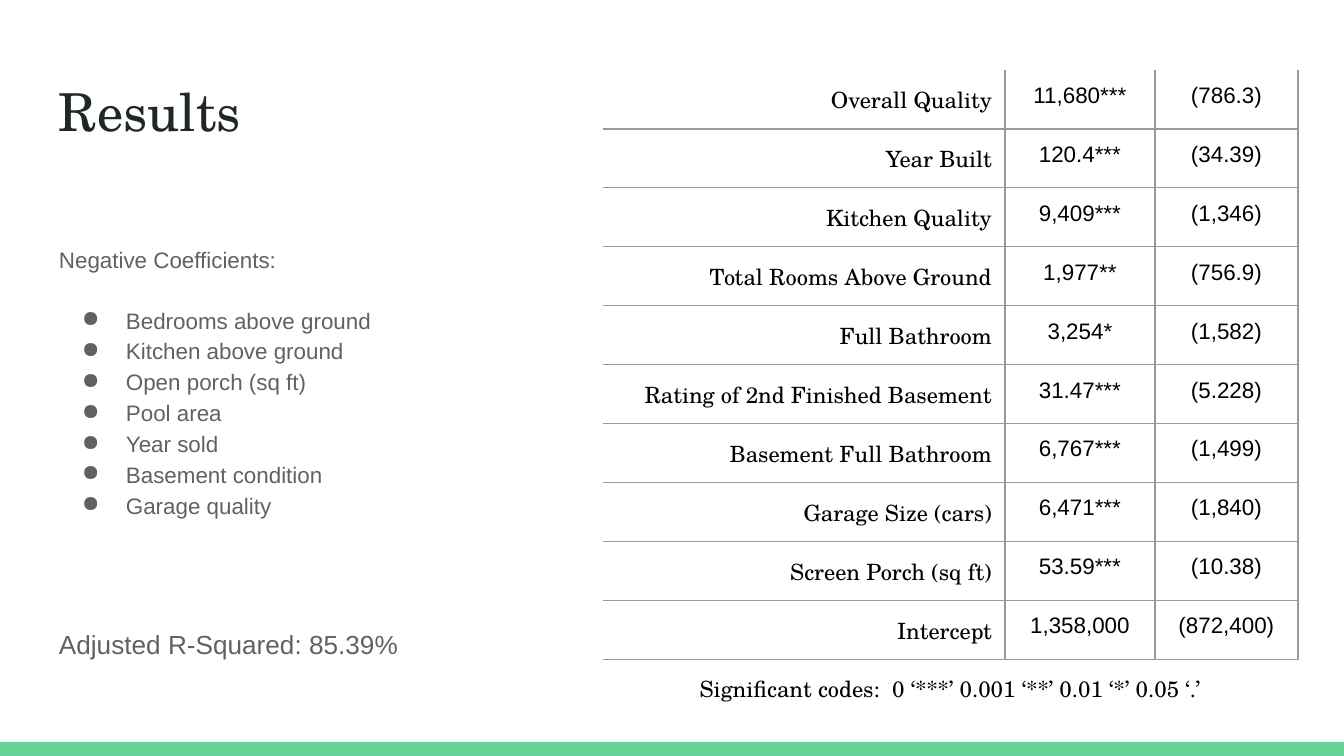
from dataclasses import dataclass

from lxml import etree
from pptx import Presentation
from pptx import util as u
from pptx.dml.color import RGBColor
from pptx.enum import shapes, text
from pptx.oxml import ns

EMU_PER_PX = 914400 / 134.4


def px(length):
    return u.Emu(round(length * EMU_PER_PX))


@dataclass(frozen=True)
class Theme:
    serif: str = "TeX Gyre Schola"
    sans: str = "Arial"
    title_color: str = "202729"
    body_color: str = "616161"
    table_color: str = "000000"
    border_color: str = "999999"
    accent: str = "63D297"
    title_size: int = 28
    result_size: int = 14
    text_size: int = 12
    border_width: float = 0.75


class SlideBuilder:
    def __init__(self, slide, theme):
        self.slide = slide
        self.theme = theme

    def style(self, paragraph, font, size, color):
        paragraph.font.name = font
        paragraph.font.size = u.Pt(size)
        paragraph.font.color.rgb = RGBColor.from_string(color)

    def inset(self, frame):
        frame.margin_left = frame.margin_right = px(13)
        frame.margin_top = frame.margin_bottom = px(13)
        frame.word_wrap = True
        frame.auto_size = text.MSO_AUTO_SIZE.NONE
        frame.vertical_anchor = text.MSO_ANCHOR.TOP

    def bar(self, left, top, width, height):
        bar = self.slide.shapes.add_shape(
            shapes.MSO_SHAPE.RECTANGLE, px(left), px(top), px(width), px(height))
        bar.shadow.inherit = False
        bar.fill.solid()
        bar.fill.fore_color.rgb = RGBColor.from_string(self.theme.accent)
        bar.line.fill.background()

    def title(self, wording, left, top, width, height):
        title = self.slide.shapes.title
        title.left, title.top = px(left), px(top)
        title.width, title.height = px(width), px(height)
        self.inset(title.text_frame)
        title.text_frame.text = wording
        heading = title.text_frame.paragraphs[0]
        heading.alignment = text.PP_ALIGN.LEFT
        self.style(heading, self.theme.serif, self.theme.title_size, self.theme.title_color)

    def bullet(self, paragraph):
        props = paragraph._p.get_or_add_pPr()
        props.set("marL", str(px(67)))
        props.set("indent", str(-px(44)))
        etree.SubElement(props, ns.qn("a:buChar")).set("char", "●")

    def findings(self, heading, items, result, left, top, width, height):
        box = self.slide.shapes.add_textbox(px(left), px(top), px(width), px(height))
        frame = box.text_frame
        self.inset(frame)
        frame.text = "\n".join([heading, *items, result])
        intro, *bullets, outcome = frame.paragraphs
        for paragraph in frame.paragraphs:
            self.style(paragraph, self.theme.sans, self.theme.text_size, self.theme.body_color)
        for paragraph in bullets:
            paragraph.line_spacing = 1.15
            self.bullet(paragraph)
        bullets[0].space_before = u.Pt(16)
        outcome.line_spacing = 1.15
        outcome.space_before = u.Pt(56)
        outcome.font.size = u.Pt(self.theme.result_size)

    def borders(self, cell, sides):
        props = cell._tc.get_or_add_tcPr()
        for side in "LRTB":
            line = etree.SubElement(props, ns.qn(f"a:ln{side}"))
            if side in sides:
                line.set("w", str(u.Pt(self.theme.border_width)))
                fill = etree.SubElement(line, ns.qn("a:solidFill"))
                etree.SubElement(fill, ns.qn("a:srgbClr")).set("val", self.theme.border_color)
            else:
                etree.SubElement(line, ns.qn("a:noFill"))

    def cell(self, cell, wording, font, alignment, sides):
        cell.margin_left = cell.margin_right = px(13)
        cell.margin_top = cell.margin_bottom = px(13)
        self.borders(cell, sides)
        cell.fill.background()
        cell.text = wording
        paragraph = cell.text_frame.paragraphs[0]
        paragraph.alignment = alignment
        self.style(paragraph, font, self.theme.text_size, self.theme.table_color)

    def coefficients(self, rows, note, left, top, widths, row_height):
        count = len(rows) + 1
        table = self.slide.shapes.add_table(
            count, len(widths), px(left), px(top),
            px(sum(widths)), px(row_height * count)).table
        table.first_row = table.horz_banding = False
        for column, width in zip(table.columns, widths):
            column.width = px(width)
        for r, row in enumerate(rows):
            for c, wording in enumerate(row):
                sides = "RB" + ("T" if r else "") + ("L" if c else "")
                font = self.theme.sans if c else self.theme.serif
                alignment = text.PP_ALIGN.CENTER if c else text.PP_ALIGN.RIGHT
                self.cell(table.cell(r, c), wording, font, alignment, sides)
        # Significance note across the last row
        last = count - 1
        for c in range(len(widths)):
            self.borders(table.cell(last, c), "T") if c else None
        table.cell(last, 0).merge(table.cell(last, len(widths) - 1))
        self.cell(table.cell(last, 0), note, self.theme.serif, text.PP_ALIGN.CENTER, "T")


NEGATIVE = [
    "Bedrooms above ground", "Kitchen above ground", "Open porch (sq ft)",
    "Pool area", "Year sold", "Basement condition", "Garage quality",
]
COEFFICIENTS = [
    ("Overall Quality", "11,680***", "(786.3)"),
    ("Year Built", "120.4***", "(34.39)"),
    ("Kitchen Quality", "9,409***", "(1,346)"),
    ("Total Rooms Above Ground", "1,977**", "(756.9)"),
    ("Full Bathroom", "3,254*", "(1,582)"),
    ("Rating of 2nd Finished Basement", "31.47***", "(5.228)"),
    ("Basement Full Bathroom", "6,767***", "(1,499)"),
    ("Garage Size (cars)", "6,471***", "(1,840)"),
    ("Screen Porch (sq ft)", "53.59***", "(10.38)"),
    ("Intercept", "1,358,000", "(872,400)"),
]
SIGNIFICANCE = "Significant codes:  0 ‘***’ 0.001 ‘**’ 0.01 ‘*’ 0.05 ‘.’"


def main():
    deck = Presentation()
    deck.slide_width, deck.slide_height = px(1344), px(756)
    results = SlideBuilder(deck.slides.add_slide(deck.slide_layouts[5]), Theme())

    # Footer bar and title
    results.bar(0, 742, 1344, 14)
    results.title("Results", 46, 66, 1253, 85)

    # Negative coefficients and model fit
    results.findings("Negative Coefficients:", NEGATIVE, "Adjusted R-Squared: 85.39%",
                     46, 233, 530, 456)

    # Coefficient table with standard errors
    results.coefficients(COEFFICIENTS, SIGNIFICANCE, 603, 70, (402, 150, 143), 57)

    deck.save("out.pptx")


if __name__ == "__main__":
    main()
